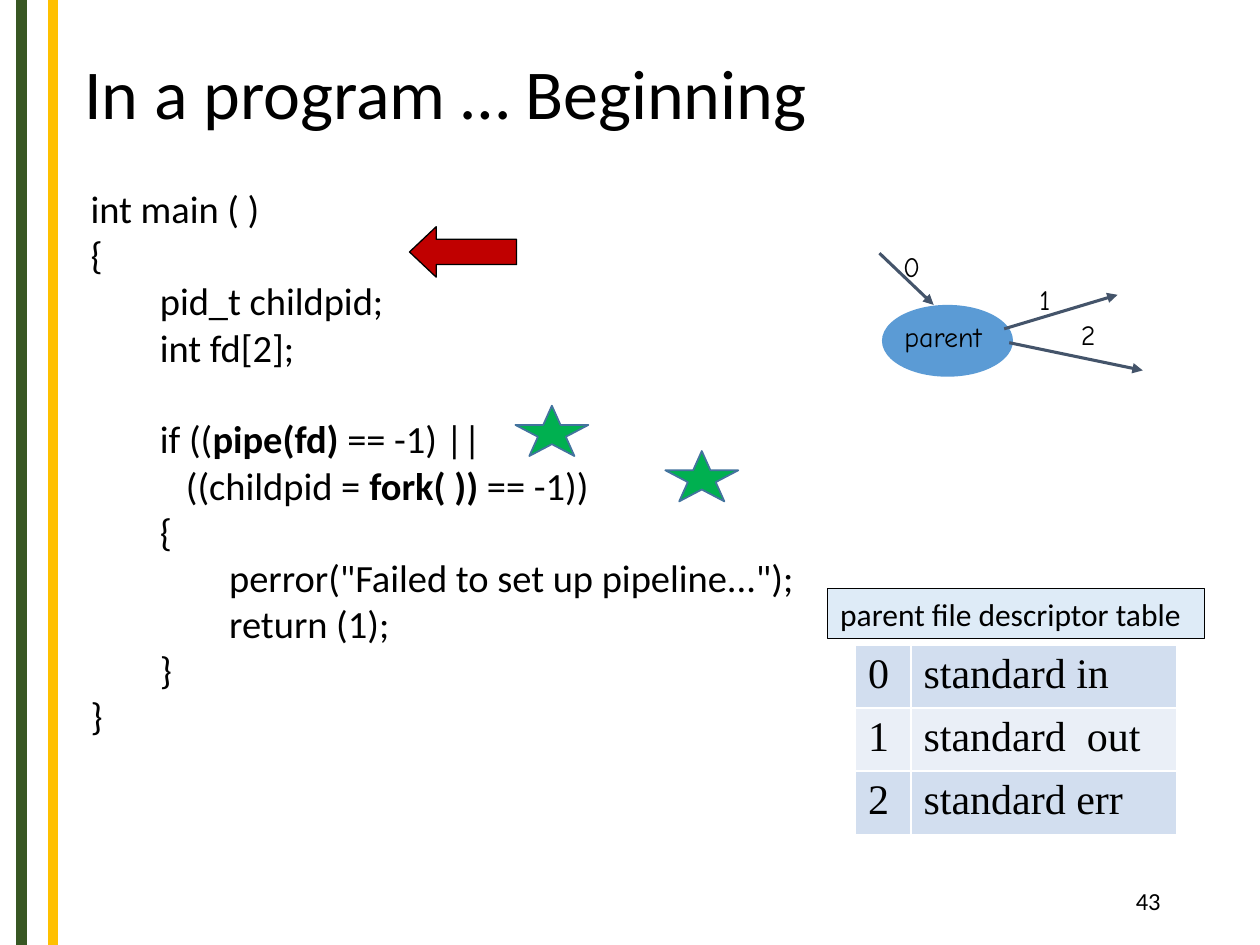
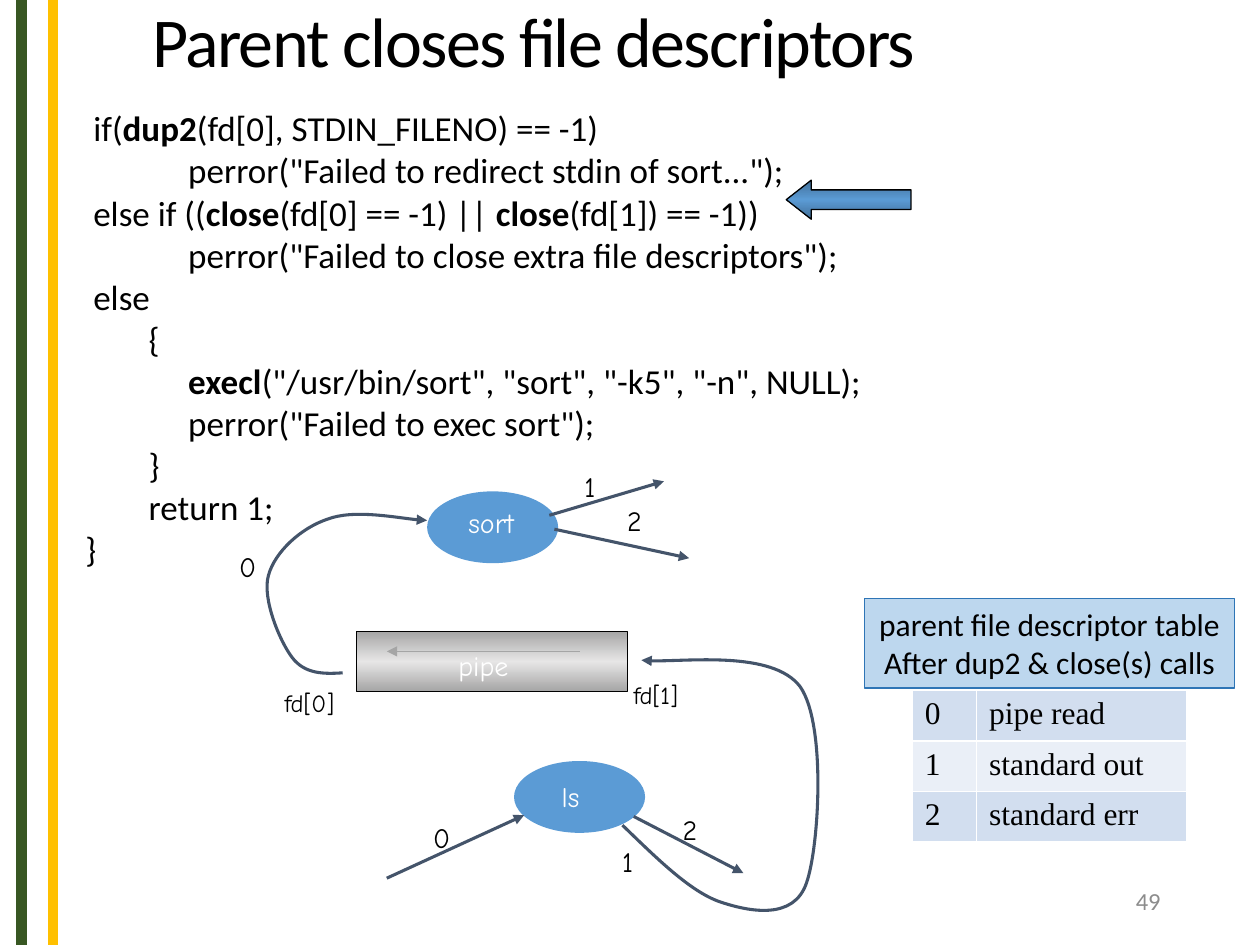
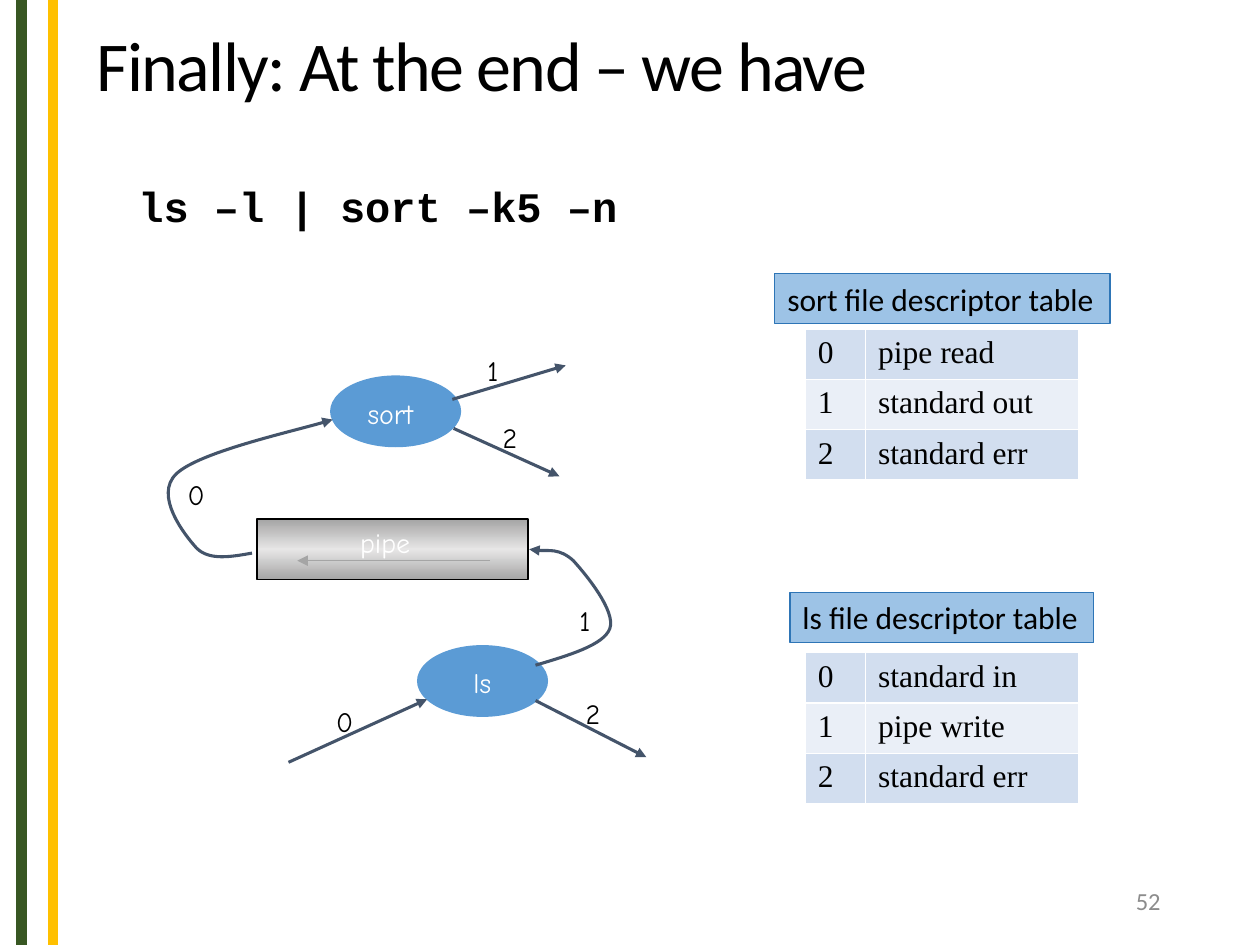
from dataclasses import dataclass, replace
from typing import NamedTuple

from lxml import etree
from pptx import Presentation
from pptx.dml.color import RGBColor
from pptx.enum.shapes import MSO_CONNECTOR, MSO_SHAPE
from pptx.enum.text import MSO_ANCHOR, MSO_AUTO_SIZE, PP_ALIGN
from pptx.oxml.ns import qn
from pptx.util import Pt

PX = 9144
STRAIGHT = MSO_CONNECTOR.STRAIGHT
RECTANGLE, OVAL = MSO_SHAPE.RECTANGLE, MSO_SHAPE.OVAL
LEFT_ARROW, STAR = MSO_SHAPE.LEFT_ARROW, MSO_SHAPE.STAR_5_POINT
TOP, MIDDLE = MSO_ANCHOR.TOP, MSO_ANCHOR.MIDDLE
FIT_TEXT = MSO_AUTO_SIZE.SHAPE_TO_FIT_TEXT
LEFT, CENTER, RIGHT = PP_ALIGN.LEFT, PP_ALIGN.CENTER, PP_ALIGN.RIGHT


@dataclass(frozen=True)
class Theme:
    ink: str = "000000"
    white: str = "FFFFFF"
    muted: str = "8C8C8C"
    green_band: str = "385723"
    gold_band: str = "FFC000"
    process: str = "5B9BD5"
    process_dark: str = "416F98"
    stream: str = "44546A"
    pipe_edge: str = "A5A5A5"
    pipe_core: str = "E7E6E6"
    red: str = "C00000"
    star: str = "00B050"
    star_edge: str = "43739E"
    caption_pale: str = "DEEBF7"
    caption_light: str = "BDD7EE"
    caption_mid: str = "9DC3E6"
    caption_edge: str = "2E75B6"
    row_odd: str = "D2DEEF"
    row_even: str = "EAEFF7"
    body_font: str = "Calibri"
    sketch_font: str = "Comic Neue"
    table_font: str = "Times New Roman"
    command_font: str = "Courier New"
    title_size: int = 40
    large_size: int = 24
    code_size: int = 22
    small_code_size: int = 20
    caption_size: int = 18
    label_size: int = 16
    note_size: int = 14


THEME = Theme()


@dataclass(frozen=True)
class TextStyle:
    size: int
    font: str = THEME.body_font
    color: str = THEME.ink
    bold: bool = False
    align: PP_ALIGN = LEFT
    line_spacing: float = 1.0
    tracking: int = 0


class Box(NamedTuple):
    x: int
    y: int
    w: int
    h: int


class Stream(NamedTuple):
    x1: int
    y1: int
    x2: int
    y2: int


class Label(NamedTuple):
    text: str
    x: int
    y: int
    w: int
    style: TextStyle


class Caption(NamedTuple):
    lines: list[str]
    box: Box
    fill: str
    edge: str
    align: PP_ALIGN = LEFT


class DescriptorTable(NamedTuple):
    x: int
    y: int
    widths: tuple[int, int]
    row_height: int
    size: int
    targets: list[str]


TITLE = TextStyle(THEME.title_size, line_spacing=0.9)
TIGHT_TITLE = replace(TITLE, line_spacing=0.85, tracking=-90)
NUMBER = TextStyle(THEME.note_size, color=THEME.muted, align=RIGHT)
DARK_NUMBER = replace(NUMBER, color=THEME.ink)
CODE = TextStyle(THEME.code_size)
SMALL_CODE = TextStyle(THEME.small_code_size)
COMMAND = TextStyle(THEME.large_size, THEME.command_font, bold=True)
CAPTION = TextStyle(THEME.caption_size)
DIGIT = TextStyle(THEME.label_size, THEME.sketch_font)
PROCESS_NAME = replace(DIGIT, color=THEME.white)
PIPE_END = replace(DIGIT, size=THEME.note_size)

PIPE_GRADIENT = [THEME.pipe_edge, THEME.pipe_core, THEME.pipe_edge]
POINTER_GRADIENT = [THEME.process_dark, THEME.process, THEME.process_dark]

BEGINNING_CODE = """int main ( )
{
        pid_t childpid;
        int fd[2];

        if ((*pipe(fd) *== -1) ||
           ((childpid = *fork( )) *== -1))
        {
                perror("Failed to set up pipeline...");
                return (1);
        }
}""".split("\n")

PARENT_CODE = """ if(*dup2*(fd[0], STDIN_FILENO) == -1)
             perror("Failed to redirect stdin of sort...");
 else if ((*close*(fd[0] == -1) || *close*(fd[1]) == -1))
             perror("Failed to close extra file descriptors");
 else
        {
*             execl*("/usr/bin/sort", "sort", "-k5", "-n", NULL);
             perror("Failed to exec sort");
        }
        return 1;
}""".split("\n")


def rgb(color: str) -> RGBColor:
    return RGBColor.from_string(color)


def emu(box) -> list[int]:
    return [value * PX for value in box]


def write(frame, lines: list[str], style: TextStyle) -> None:
    gap = False
    paragraph = frame.paragraphs[0]
    for index, line in enumerate(lines):
        if not line:
            gap = True
            continue
        if index:
            paragraph = frame.add_paragraph()
        paragraph.alignment = style.align
        paragraph.line_spacing = style.line_spacing
        if gap:
            paragraph.space_before = Pt(round(style.size * 1.2))
            gap = False
        font = paragraph.font
        font.name, font.size, font.bold = style.font, Pt(style.size), style.bold
        font.color.rgb = rgb(style.color)
        if style.tracking:
            paragraph._p.pPr.find(qn("a:defRPr")).set("spc", str(style.tracking))
        for part, text in enumerate(line.split("*")):
            if text:
                run = paragraph.add_run()
                run.text = text
                if part % 2:
                    run.font.bold = True


def add_text(slide, lines: list[str], box: Box, style: TextStyle,
             anchor=TOP, wrap: bool = False) -> None:
    frame = slide.shapes.add_textbox(*emu(box)).text_frame
    frame.word_wrap = wrap
    frame.vertical_anchor = anchor
    if anchor == TOP:
        frame.auto_size = FIT_TEXT
    write(frame, lines, style)


def add_label(slide, label: Label) -> None:
    add_text(slide, [label.text], Box(label.x, label.y, label.w, 37), label.style)


def add_figure(slide, kind, box: Box, fill: str | list[str],
               edge: str | None = None, width: float = 0.75):
    figure = slide.shapes.add_shape(kind, *emu(box))
    figure.shadow.inherit = False
    if isinstance(fill, str):
        figure.fill.solid()
        figure.fill.fore_color.rgb = rgb(fill)
    else:
        figure.fill.gradient()
        figure.fill.gradient_angle = 270
        stops = figure._element.spPr.find(".//" + qn("a:gsLst"))
        for stop in list(stops):
            stops.remove(stop)
        for index, color in enumerate(fill):
            position = 100000 * index // (len(fill) - 1)
            stop = etree.SubElement(stops, qn("a:gs"), pos=str(position))
            etree.SubElement(stop, qn("a:srgbClr"), val=color)
    if edge:
        figure.line.color.rgb = rgb(edge)
        figure.line.width = Pt(width)
    else:
        figure.line.fill.background()
    return figure


def add_process(slide, x: int, y: int) -> None:
    add_figure(slide, OVAL, Box(x, y, 104, 57), THEME.process)


def add_pointer(slide, box: Box, fill: str | list[str], head: float) -> None:
    pointer = add_figure(slide, LEFT_ARROW, box, fill, THEME.ink)
    pointer.adjustments[1] = head


def style_line(item, color: str, width: float, arrow: bool) -> None:
    item.line.color.rgb = rgb(color)
    item.line.width = Pt(width)
    if arrow:
        line = item._element.spPr.find(qn("a:ln"))
        etree.SubElement(line, qn("a:tailEnd"), type="triangle")


def add_stream(slide, stream: Stream, color: str = THEME.stream,
               width: float = 1.75, arrow: bool = True) -> None:
    line = slide.shapes.add_connector(STRAIGHT, *emu(stream))
    style_line(line, color, width, arrow)
    etree.SubElement(line._element.spPr, qn("a:effectLst"))


def add_curve(slide, points: list[tuple[int, int]]) -> None:
    builder = slide.shapes.build_freeform(*points[0], scale=PX)
    builder.add_line_segments(points[1:], close=False)
    curve = builder.convert_to_shape()
    curve.shadow.inherit = False
    curve.fill.background()
    style_line(curve, THEME.stream, 1.75, True)
    outline = curve._element.spPr.find(".//" + qn("a:path"))
    segments = outline.findall(qn("a:lnTo"))
    for start in range(0, len(segments), 3):
        bezier = etree.SubElement(outline, qn("a:cubicBezTo"))
        for segment in segments[start:start + 3]:
            bezier.append(segment[0])
            outline.remove(segment)


def add_pipe(slide, x: int, y: int, name: Label, flow: Stream) -> None:
    add_figure(slide, RECTANGLE, Box(x, y, 215, 48), PIPE_GRADIENT, THEME.ink)
    add_label(slide, name)
    add_stream(slide, flow, THEME.pipe_edge, 0.75)


def add_caption(slide, caption: Caption) -> None:
    frame = add_figure(slide, RECTANGLE, caption.box, caption.fill, caption.edge).text_frame
    frame.word_wrap = False
    frame.auto_size = FIT_TEXT
    frame.vertical_anchor = TOP
    write(frame, caption.lines, replace(CAPTION, align=caption.align))


def add_descriptors(slide, spec_table: DescriptorTable) -> None:
    count = len(spec_table.targets)
    box = Box(spec_table.x, spec_table.y, sum(spec_table.widths),
              spec_table.row_height * count)
    table = slide.shapes.add_table(count, 2, *emu(box)).table
    table.first_row = table.horz_banding = False
    for column, width in zip(table.columns, spec_table.widths):
        column.width = width * PX
    style = TextStyle(spec_table.size, THEME.table_font)
    for number, target in enumerate(spec_table.targets):
        table.rows[number].height = spec_table.row_height * PX
        for cell, text in zip(table.rows[number].cells, (str(number), target)):
            properties = cell._tc.get_or_add_tcPr()
            for side in ("lnL", "lnR", "lnT", "lnB"):
                border = etree.SubElement(properties, qn(f"a:{side}"), w=str(Pt(1)))
                paint = etree.SubElement(border, qn("a:solidFill"))
                etree.SubElement(paint, qn("a:srgbClr"), val=THEME.white)
            cell.fill.solid()
            cell.fill.fore_color.rgb = rgb(THEME.row_even if number % 2 else THEME.row_odd)
            write(cell.text_frame, [text], style)


def start_slide(deck, title: str, title_box: Box, number: str,
                title_style: TextStyle = TIGHT_TITLE, number_style: TextStyle = NUMBER):
    slide = deck.slides.add_slide(deck.slide_layouts[6])
    for x, color in ((17, THEME.green_band), (42, THEME.gold_band)):
        add_stream(slide, Stream(x, 0, x, 750), color, 6, False)
    add_text(slide, [title], title_box, title_style, MIDDLE, True)
    add_text(slide, [number], Box(706, 695, 225, 40), number_style, MIDDLE, True)
    return slide


def add_diagram(slide, streams: list[Stream], labels: list[Label],
                curves: list[list[tuple[int, int]]]) -> None:
    for stream in streams:
        add_stream(slide, stream)
    for curve in curves:
        add_curve(slide, curve)
    for label in labels:
        add_label(slide, label)


def build_beginning(deck) -> None:
    slide = start_slide(deck, "In a program … Beginning", Box(57, 14, 650, 125), "43",
                        TITLE, DARK_NUMBER)
    add_process(slide, 700, 242)
    add_diagram(
        slide,
        [Stream(797, 261, 887, 234), Stream(801, 272, 907, 294), Stream(698, 201, 741, 242)],
        [Label("parent", 708, 249, 88, DIGIT), Label("0", 707, 193, 34, DIGIT),
         Label("1", 815, 219, 30, DIGIT), Label("2", 848, 247, 34, DIGIT)],
        [])
    add_text(slide, BEGINNING_CODE, Box(62, 142, 585, 491), CODE)
    add_caption(slide, Caption(["parent file descriptor table"], Box(657, 467, 299, 40),
                               THEME.caption_pale, THEME.ink))
    add_descriptors(slide, DescriptorTable(679, 512, (44, 211), 50, THEME.large_size,
                                           ["standard in", "standard  out", "standard err"]))
    add_pointer(slide, Box(325, 180, 85, 40), THEME.red, 0.53)
    for x, y in ((409, 322), (528, 358)):
        add_figure(slide, STAR, Box(x, y, 58, 40), THEME.star, THEME.star_edge, 1)


def build_parent_closes(deck) -> None:
    slide = start_slide(deck, "Parent closes file descriptors", Box(111, -26, 783, 125), "49")
    add_text(slide, PARENT_CODE, Box(58, 80, 673, 384), SMALL_CODE, wrap=True)
    add_pipe(slide, 283, 501, Label("pipe", 354, 510, 62, PROCESS_NAME),
             Stream(460, 517, 307, 517))
    add_process(slide, 408, 604)
    add_process(slide, 339, 390)
    add_diagram(
        slide,
        [Stream(307, 697, 416, 647), Stream(503, 648, 590, 693),
         Stream(436, 409, 527, 382), Stream(440, 420, 547, 443)],
        [Label("ls", 436, 614, 37, PROCESS_NAME), Label("sort", 362, 396, 64, PROCESS_NAME),
         Label("0", 334, 646, 34, DIGIT), Label("2", 532, 640, 34, DIGIT),
         Label("1", 454, 368, 30, DIGIT), Label("2", 488, 395, 34, DIGIT),
         Label("1", 484, 665, 30, DIGIT), Label("0", 180, 431, 34, DIGIT),
         Label("fd[1]", 493, 535, 65, PIPE_END), Label("fd[0]", 216, 541, 68, PIPE_END)],
        [[(494, 655), (521, 681), (548, 708), (572, 716), (596, 724), (630, 730),
          (640, 701), (650, 673), (656, 575), (635, 545), (613, 516), (530, 527), (509, 524)],
         [(272, 534), (257, 535), (242, 535), (232, 522), (222, 509), (208, 475),
          (213, 457), (218, 438), (239, 419), (260, 412), (281, 404), (326, 413), (339, 413)]])
    add_caption(slide, Caption(["parent file descriptor table", "After dup2 & close(s) calls"],
                               Box(686, 475, 294, 71), THEME.caption_light,
                               THEME.caption_edge, CENTER))
    add_descriptors(slide, DescriptorTable(724, 548, (51, 167), 40, THEME.caption_size,
                                           ["pipe read", "standard out", "standard err"]))
    add_pointer(slide, Box(624, 143, 99, 31), POINTER_GRADIENT, 0.64)


def build_end(deck) -> None:
    slide = start_slide(deck, "Finally: At the end – we have", Box(67, -7, 837, 125), "52")
    add_text(slide, ["ls –l | sort –k5 –n"], Box(100, 138, 403, 51), COMMAND)
    add_pipe(slide, 204, 412, Label("pipe", 276, 412, 62, PROCESS_NAME),
             Stream(389, 445, 236, 445))
    add_process(slide, 331, 512)
    add_process(slide, 262, 298)
    add_diagram(
        slide,
        [Stream(229, 605, 339, 555), Stream(425, 556, 513, 601),
         Stream(359, 317, 449, 290), Stream(360, 340, 444, 378)],
        [Label("ls", 366, 523, 37, PROCESS_NAME), Label("sort", 282, 310, 64, PROCESS_NAME),
         Label("0", 257, 554, 34, DIGIT), Label("2", 455, 548, 34, DIGIT),
         Label("1", 450, 474, 30, DIGIT), Label("0", 139, 374, 34, DIGIT),
         Label("1", 377, 276, 30, DIGIT), Label("2", 389, 329, 34, DIGIT)],
        [[(425, 528), (452, 520), (479, 512), (484, 499), (489, 485),
          (465, 456), (455, 445), (444, 435), (426, 438), (420, 436)],
         [(200, 439), (183, 442), (166, 445), (156, 435), (146, 424),
          (122, 393), (140, 376), (158, 359), (243, 340), (264, 333)]])
    for name, caption_box, table_y, targets in (
            ("sort", Box(615, 217, 266, 40), 261, ["pipe read", "standard out", "standard err"]),
            ("ls", Box(627, 470, 241, 40), 518, ["standard in", "pipe write", "standard err"])):
        add_caption(slide, Caption([f"{name} file descriptor table"], caption_box,
                                   THEME.caption_mid, THEME.caption_edge))
        add_descriptors(slide, DescriptorTable(639, table_y, (48, 169), 40,
                                               THEME.caption_size, targets))


def main() -> None:
    deck = Presentation()
    deck.slide_width, deck.slide_height = 1000 * PX, 750 * PX
    build_beginning(deck)
    build_parent_closes(deck)
    build_end(deck)
    deck.save("out.pptx")


if __name__ == "__main__":
    main()
